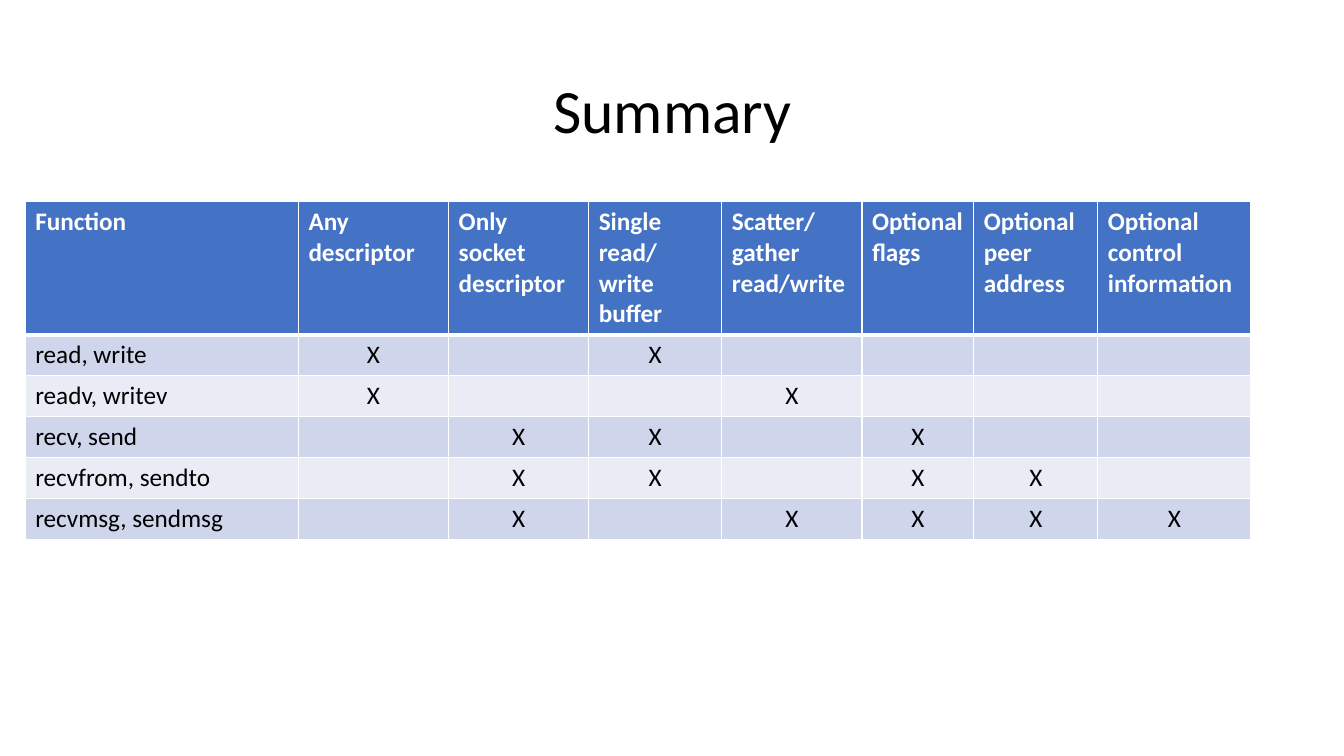
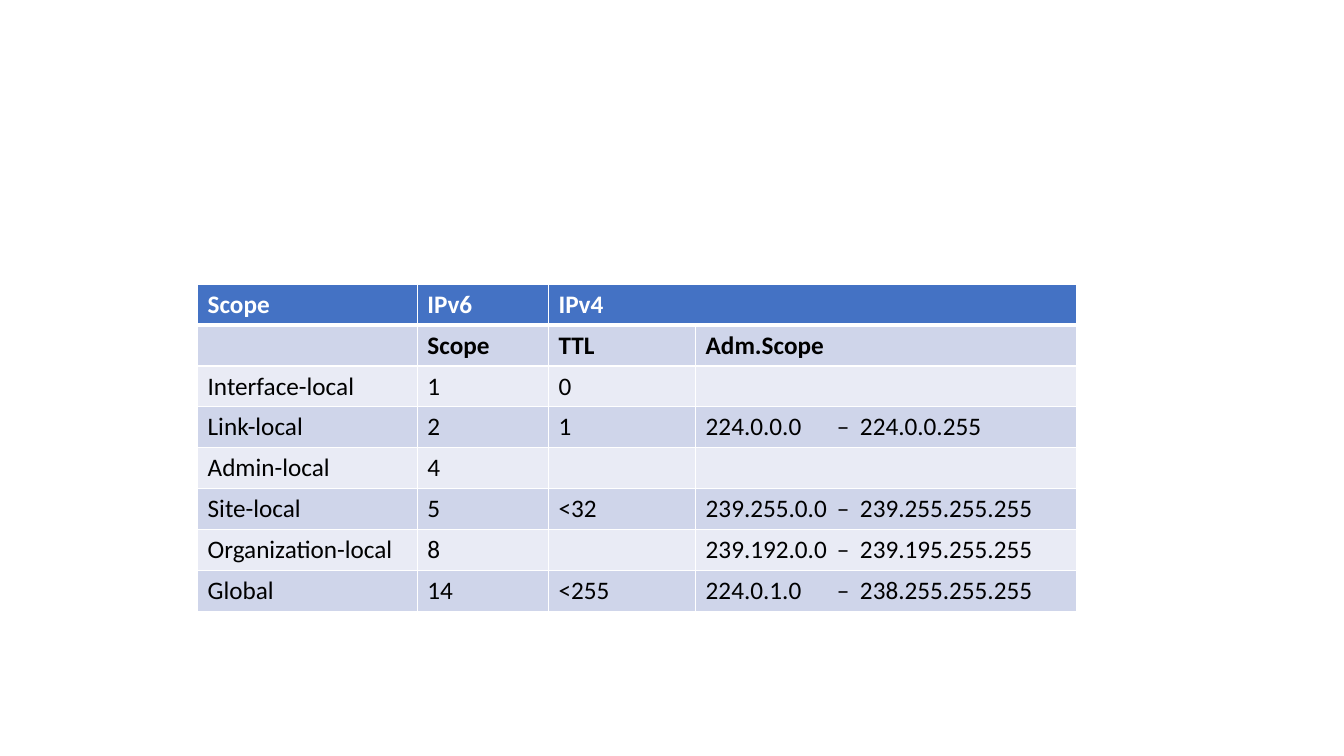
from dataclasses import dataclass

from lxml import etree
from pptx import Presentation
from pptx.dml.color import RGBColor
from pptx.enum.text import MSO_ANCHOR, PP_ALIGN
from pptx.oxml.ns import qn
from pptx.util import Inches, Pt

CENTER, LEFT = PP_ALIGN.CENTER, PP_ALIGN.LEFT
MIDDLE = MSO_ANCHOR.MIDDLE
TITLE_ONLY, BLANK = 5, 6
MARK = "X"


@dataclass(frozen=True)
class Theme:
    font: str = "Calibri"
    title_size: int = 44
    table_size: int = 18
    ink: str = "000000"
    paper: str = "FFFFFF"
    header: str = "4472C4"
    bands: tuple = ("CFD5EA", "E9EBF5")
    rule: int = 1
    header_rule: int = 3
    row_height: float = 0.4


THEME = Theme()
SLIDE_SIZE = (13.33, 7.5)
TITLE_BOX = (0.92, 0.4, 11.5, 1.45)
RANGE_TABS = (1.3, 1.53)

# "\v" breaks a line, "\n" starts a paragraph
SOCKET_HEADINGS = (
    "Function", "Any descriptor", "Only socket descriptor",
    "Single\nread/write\nbuffer", "Scatter/\vgather\vread/write",
    "Optional\vflags", "Optional\vpeer\vaddress",
    "Optional\vcontrol\vinformation",
)
SOCKET_WIDTHS = (2.71, 1.49, 1.39, 1.32, 1.39, 1.11, 1.23, 1.52)
# Each function pair with the numbers of the columns that it ticks
SOCKET_FUNCTIONS = {
    "read, write": (1, 3),
    "readv, writev": (1, 4),
    "recv, send": (2, 3, 5),
    "recvfrom, sendto": (2, 3, 5, 6),
    "recvmsg, sendmsg": (2, 4, 5, 6, 7),
}

SCOPE_WIDTHS = (2.18, 1.3, 1.46, 3.78)
SCOPE_ROWS = (
    ("Scope", "IPv6", "IPv4", ""),
    ("", "Scope", "TTL", "Adm.Scope"),
    ("Interface-local", "1", "0", ""),
    ("Link-local", "2", "1", "224.0.0.0\t–\t224.0.0.255"),
    ("Admin-local", "4", "", ""),
    ("Site-local", "5", "<32", "239.255.0.0\t–\t239.255.255.255"),
    ("Organization-local", "8", "", "239.192.0.0\t–\t239.195.255.255"),
    ("Global", "14", "<255", "224.0.1.0\t–\t238.255.255.255"),
)


def format_font(font, size, color, bold=False):
    values = {"name": THEME.font, "size": Pt(size), "bold": bold}
    for attribute, value in values.items():
        setattr(font, attribute, value)
    font.color.rgb = RGBColor.from_string(color)


def add_borders(cell, bottom):
    """Draw white rules, which must come before the fill in the cell's XML."""
    properties = cell._tc.get_or_add_tcPr()
    widths = {"lnL": THEME.rule, "lnR": THEME.rule,
              "lnT": THEME.rule, "lnB": bottom}
    for position, (side, width) in enumerate(widths.items()):
        line = etree.Element(qn(f"a:{side}"), w=str(Pt(width)))
        fill = etree.SubElement(line, qn("a:solidFill"))
        etree.SubElement(fill, qn("a:srgbClr"), val=THEME.paper)
        properties.insert(position, line)


def add_tab_stops(paragraph, stops):
    tabs = etree.SubElement(paragraph._p.get_or_add_pPr(), qn("a:tabLst"))
    for stop in stops:
        etree.SubElement(tabs, qn("a:tab"), pos=str(Inches(stop)), algn="l")


def fill_cell(cell, text, row, bold):
    is_header = row == 0
    background = THEME.header if is_header else THEME.bands[(row - 1) % 2]
    cell.fill.solid()
    cell.fill.fore_color.rgb = RGBColor.from_string(background)
    add_borders(cell, THEME.header_rule if is_header else THEME.rule)
    cell.text = text
    for paragraph in cell.text_frame.paragraphs:
        paragraph.alignment = CENTER if text == MARK else LEFT
        if "\t" in text:
            add_tab_stops(paragraph, RANGE_TABS)
        format_font(paragraph.font, THEME.table_size,
                    THEME.paper if is_header else THEME.ink, bold)
        for run in paragraph.runs:
            format_font(run.font, THEME.table_size,
                        THEME.paper if is_header else THEME.ink, bold)


def add_banded_table(slide, origin, widths, rows, header_height, bold_rows=1):
    heights = [header_height] + [THEME.row_height] * (len(rows) - 1)
    box = (*origin, sum(widths), sum(heights))
    table = slide.shapes.add_table(
        len(rows), len(widths), *map(Inches, box)).table
    for column, width in zip(table.columns, widths):
        column.width = Inches(width)
    for number, (row, height) in enumerate(zip(rows, heights)):
        table.rows[number].height = Inches(height)
        for column, text in enumerate(row):
            fill_cell(table.cell(number, column), text, number,
                      number < bold_rows)
    return table


def style_title_layout(layout):
    title = layout.placeholders[0]
    title.left, title.top, title.width, title.height = map(Inches, TITLE_BOX)
    title.text_frame.vertical_anchor = MIDDLE


def add_title(slide, text):
    title = slide.shapes.title
    title.text = text
    paragraph = title.text_frame.paragraphs[0]
    paragraph.alignment = CENTER
    paragraph.line_spacing = 0.9
    format_font(paragraph.runs[0].font, THEME.title_size, THEME.ink)


def build_summary(deck):
    slide = deck.slides.add_slide(deck.slide_layouts[TITLE_ONLY])
    add_title(slide, "Summary")
    rows = [SOCKET_HEADINGS]
    for function, ticked in SOCKET_FUNCTIONS.items():
        marks = [MARK if column in ticked else ""
                 for column in range(1, len(SOCKET_HEADINGS))]
        rows.append((function, *marks))
    add_banded_table(slide, (0.25, 2), SOCKET_WIDTHS, rows, header_height=1.31)


def build_scopes(deck):
    slide = deck.slides.add_slide(deck.slide_layouts[BLANK])
    table = add_banded_table(slide, (1.96, 2.82), SCOPE_WIDTHS, SCOPE_ROWS,
                             THEME.row_height, bold_rows=2)
    table.cell(0, 2).merge(table.cell(0, 3))


def main():
    deck = Presentation()
    deck.slide_width, deck.slide_height = map(Inches, SLIDE_SIZE)
    style_title_layout(deck.slide_layouts[TITLE_ONLY])
    build_summary(deck)
    build_scopes(deck)
    deck.save("out.pptx")


if __name__ == "__main__":
    main()
